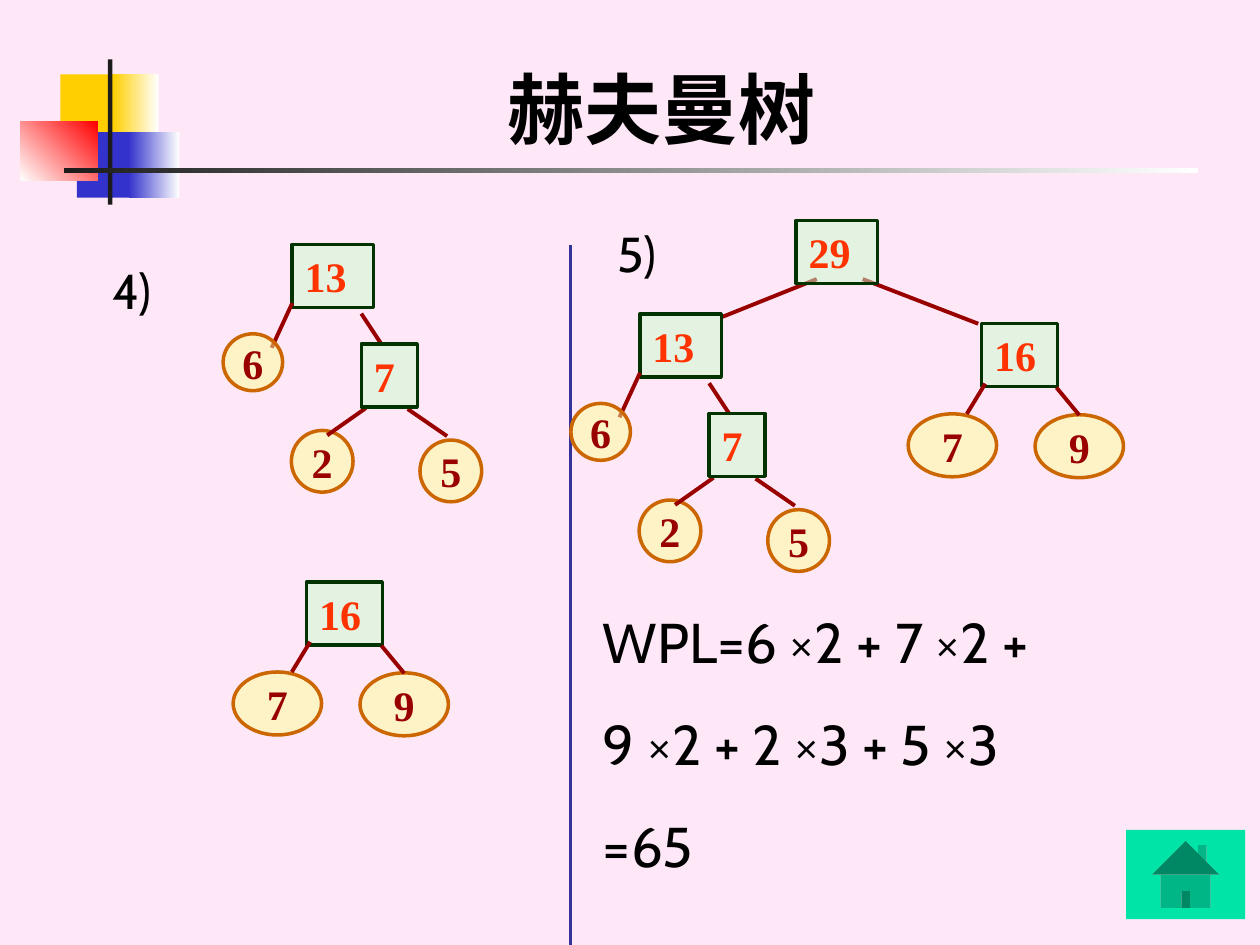
from lxml import etree
from pptx import Presentation
from pptx.dml.color import RGBColor
from pptx.enum import shapes, text
from pptx.oxml import ns
from pptx.util import Pt

# Content: lengths in points
TITLE = "赫夫曼树"
LABELS = [("4)", 57, 145.5), ("5)", 345.5, 124)]
FORMULA = ["WPL=6 ×2 + 7 ×2 +", "9 ×2 + 2 ×3 + 5 ×3", "=65"]

# Decoration: left, top, width, height, colours, gradient angle
DECORATION = [
    (34.5, 42.5, 34.5, 37.5, ["FFCF01"], 0),
    (64.5, 42.5, 26, 37.5, ["FFCF01", "FFFFFF"], 0),
    (44, 75.5, 33, 37.5, ["3333CC"], 0),
    (73.5, 75.5, 29, 37.5, ["3333CC", "FFFFFF"], 0),
    (11.5, 69.5, 44.5, 33.5, ["FFFFFF", "FF0000"], 45),
    (61.75, 34, 2.5, 83, ["1C1C1C"], 0),
    (36.5, 96.25, 648, 2.75, ["1C1C1C", "FFFFFF"], 0),
]

# Tree parts, relative to the root's top left corner, from back to front:
# ("node" or "leaf", label, left, top, width, height) or ("edge", x1, y1, x2, y2)
TREE_13 = [
    ("node", "13", 0, 0, 46.5, 36),
    ("edge", 0, 33.5, -11.75, 59),
    ("edge", 39.5, 39.5, 51, 57),
    ("leaf", "5", 73, 111.75, 35.25, 35.25),
    ("leaf", "2", -0.5, 106.25, 35.25, 35.25),
    ("edge", 42, 93.5, 20, 109),
    ("edge", 66, 94, 88.5, 109.5),
    ("node", "7", 39.5, 56.75, 32, 36),
    ("leaf", "6", -39.5, 51, 34, 32.5),
]
TREE_16 = [
    ("leaf", "7", -42, 51.5, 50.5, 36),
    ("leaf", "9", 30.5, 52, 50.5, 36),
    ("node", "16", 0, 0, 43.25, 36),
    ("edge", 2, 34.25, -8.5, 51.5),
    ("edge", 42.75, 36.5, 55.75, 52.25),
]
TREE_29 = [
    ("edge", 11.75, 33.5, -42, 55),
    ("edge", 38, 33.5, 104, 59),
    ("node", "29", 0, 0, 46.5, 36),
]
STEP_4 = [(TREE_16, 175.25, 332.5), (TREE_13, 167, 139.75)]
STEP_5 = [(TREE_16, 561, 185), (TREE_13, 365.75, 179.5)]
ROOT = (TREE_29, 455, 126)

# Preset, fill, line and text colours
STYLES = {
    "node": (shapes.MSO_SHAPE.RECTANGLE, "CCFFCC", "003300", "FF3300"),
    "leaf": (shapes.MSO_SHAPE.OVAL, "FFFF99", "CC6600", "990000"),
}


def color(value):
    return RGBColor.from_string(value)


def add_preset(preset, left, top, width, height, fill):
    shape = slide.shapes.add_shape(preset, Pt(left), Pt(top), Pt(width), Pt(height))
    shape.shadow.inherit = False
    shape.line.fill.background()
    shape.fill.solid()
    shape.fill.fore_color.rgb = color(fill)
    return shape


def write(shape, lines, size, font, ink, bold=False, align=text.PP_ALIGN.LEFT,
          anchor=text.MSO_ANCHOR.TOP, wrap=True, space=0):
    frame = shape.text_frame
    frame.auto_size = text.MSO_AUTO_SIZE.NONE
    frame.word_wrap = wrap
    frame.vertical_anchor = anchor
    for index, line in enumerate(lines):
        paragraph = frame.add_paragraph() if index else frame.paragraphs[0]
        paragraph.alignment = align
        paragraph.space_before = Pt(space if index else 0)
        run = paragraph.add_run()
        run.text = line
        run.font.size = Pt(size)
        run.font.name = font
        run.font.bold = bold
        run.font.color.rgb = color(ink)


def add_text(lines, left, top, width, height, size, space=0):
    box = slide.shapes.add_textbox(Pt(left), Pt(top), Pt(width), Pt(height))
    write(box, lines, size, "Cabin", "000000", space=space)


def add_line(x1, y1, x2, y2, ink):
    line = slide.shapes.add_connector(
        shapes.MSO_CONNECTOR.STRAIGHT, Pt(x1), Pt(y1), Pt(x2), Pt(y2))
    line.line.color.rgb = color(ink)
    line.line.width = Pt(2.25)
    etree.SubElement(line.element.spPr, ns.qn("a:effectLst"))


def add_vertex(kind, label, left, top, width, height):
    preset, fill, outline, ink = STYLES[kind]
    shape = add_preset(preset, left, top, width, height, fill)
    fill_color = shape.element.spPr.find(ns.qn("a:solidFill"))[0]
    etree.SubElement(fill_color, ns.qn("a:alpha"), val="50000")
    shape.line.color.rgb = color(outline)
    shape.line.width = Pt(2)
    if kind == "leaf":
        write(shape, [label], 24, "Times New Roman", ink, True,
              text.PP_ALIGN.CENTER, text.MSO_ANCHOR.MIDDLE, False)
    else:
        write(shape, [label], 24, "Times New Roman", ink, True)


def add_tree(parts, x, y):
    for kind, *values in parts:
        if kind == "edge":
            x1, y1, x2, y2 = values
            add_line(x + x1, y + y1, x + x2, y + y2, "990000")
        else:
            label, left, top, width, height = values
            add_vertex(kind, label, x + left, y + top, width, height)


presentation = Presentation()
presentation.slide_width, presentation.slide_height = Pt(720), Pt(540)
slide = presentation.slides.add_slide(presentation.slide_layouts[5])
slide.background.fill.solid()
slide.background.fill.fore_color.rgb = color("FEE8F7")

# Title
title = slide.shapes.title
title.left, title.top, title.width, title.height = Pt(60), Pt(31.5), Pt(636), Pt(60.5)
write(title, [TITLE], 44, "Cabin", "000000", True, text.PP_ALIGN.CENTER)

# Corner squares and rules
for left, top, width, height, colors, angle in DECORATION:
    block = add_preset(shapes.MSO_SHAPE.RECTANGLE, left, top, width, height, colors[0])
    if len(colors) > 1:
        block.fill.gradient()
        block.fill.gradient_angle = angle
        for stop, value, position in zip(block.fill.gradient_stops, colors, (0, 1)):
            stop.color.rgb = color(value)
            stop.position = position

# Step labels, divider and trees
for label, left, top in LABELS:
    add_text([label], left, top, 57, 41, 28)
add_line(326, 140, 326, 540, "333399")
for tree in [ROOT] + STEP_4 + STEP_5:
    add_tree(*tree)

# Path length and home button
add_text(FORMULA, 337.5, 343.5, 345.5, 163, 32, space=20)
add_preset(shapes.MSO_SHAPE.ACTION_BUTTON_HOME, 643.5, 474.25, 68, 51, "00E4A8")

presentation.save("out.pptx")
